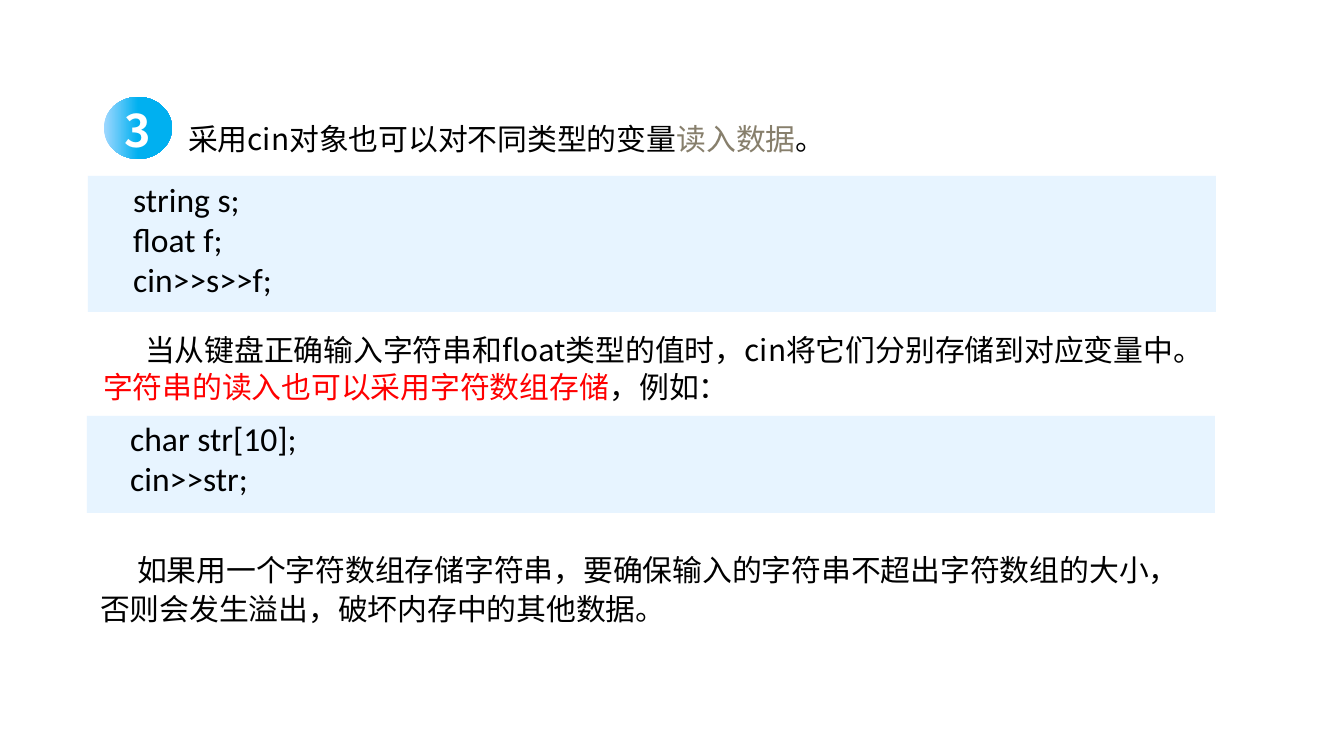
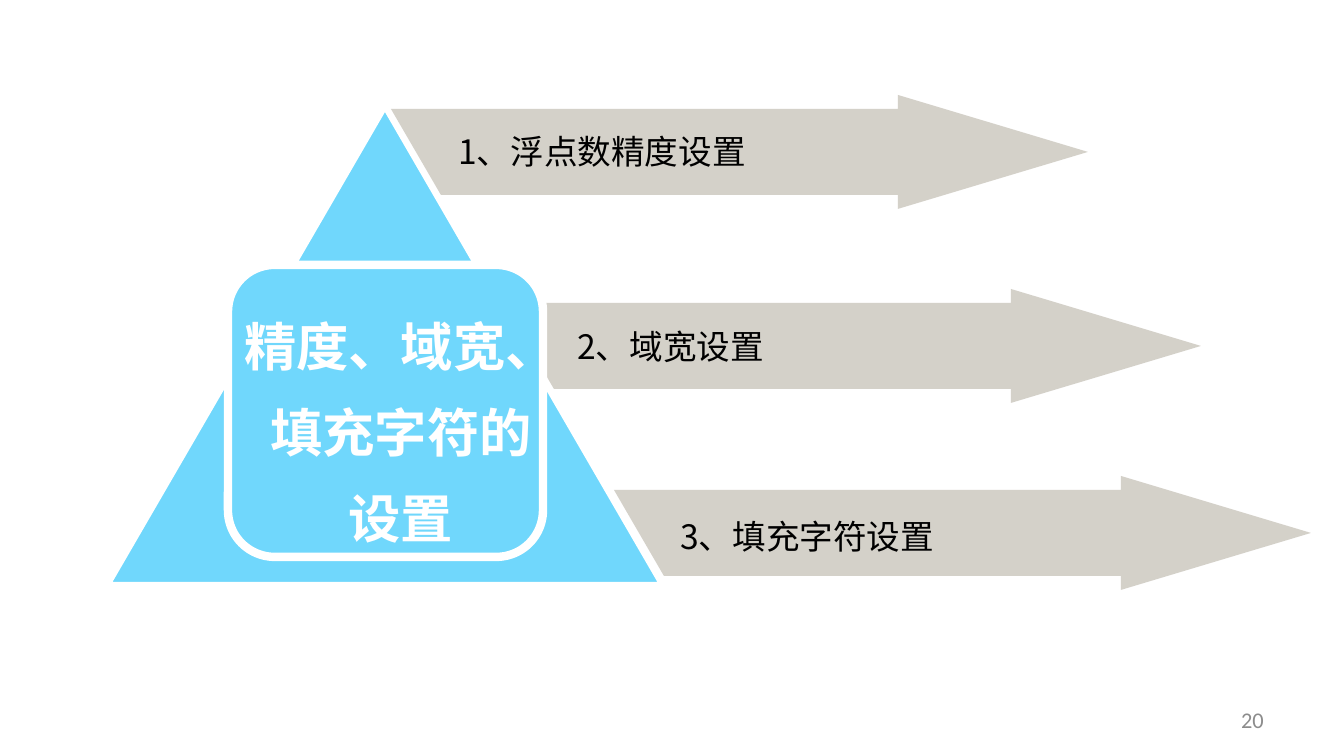
from lxml import etree
from pptx import Presentation
from pptx.dml.color import RGBColor
from pptx.enum.shapes import MSO_SHAPE
from pptx.enum.text import MSO_ANCHOR, MSO_AUTO_SIZE, PP_ALIGN
from pptx.oxml.ns import qn
from pptx.util import Emu, Pt

SCALE = 914400 / 134.4
RECTANGLE, OVAL = MSO_SHAPE.RECTANGLE, MSO_SHAPE.OVAL
TRIANGLE, ROUNDED = MSO_SHAPE.ISOSCELES_TRIANGLE, MSO_SHAPE.ROUNDED_RECTANGLE
TOP, MIDDLE = MSO_ANCHOR.TOP, MSO_ANCHOR.MIDDLE
LEFT, CENTER, RIGHT = PP_ALIGN.LEFT, PP_ALIGN.CENTER, PP_ALIGN.RIGHT
GROW = MSO_AUTO_SIZE.SHAPE_TO_FIT_TEXT

BLACK = RGBColor(0x00, 0x00, 0x00)
WHITE = RGBColor(0xFF, 0xFF, 0xFF)
RED = RGBColor(0xFF, 0x00, 0x00)
TAUPE = RGBColor(0x87, 0x7F, 0x6C)
GRAY = RGBColor(0x8C, 0x8C, 0x8C)
STONE = RGBColor(0xD0, 0xCC, 0xC4)
PALE_BLUE = RGBColor(0xE7, 0xF4, 0xFF)
LIGHT_BLUE = RGBColor(0x9F, 0xD8, 0xFF)
BLUE = RGBColor(0x00, 0xB0, 0xF0)
SKY = RGBColor(0x70, 0xD7, 0xFC)

CHINESE = "Noto Sans CJK SC"
LATIN = "Calibri"


def px(value):
    return Emu(round(value * SCALE))


class Page:
    def __init__(self, deck):
        self.shapes = deck.slides.add_slide(deck.slide_layouts[6]).shapes

    def fill_text(self, shape, paragraphs, font, spacing=None, align=LEFT, indent=0):
        frame = shape.text_frame
        frame.word_wrap = True
        for index, spans in enumerate(paragraphs):
            para = frame.add_paragraph() if index else frame.paragraphs[0]
            para.alignment = align
            if spacing:
                para.line_spacing = Pt(spacing)
            if indent:
                para._p.get_or_add_pPr().set("indent", str(px(indent)))
            for text, color in spans:
                span = para.add_run()
                span.text = text
                for name, value in font.items():
                    setattr(span.font, name, value)
                span.font.color.rgb = color
                east_asian = etree.SubElement(span._r.get_or_add_rPr(), qn("a:ea"))
                east_asian.set("typeface", font["name"])

    def text(self, box, paragraphs, size=16, name=CHINESE, bold=False,
             anchor=TOP, inset=None, grow=True, **layout):
        shape = self.shapes.add_textbox(*map(px, box))
        frame = shape.text_frame
        frame.vertical_anchor = anchor
        if inset is not None:
            frame.margin_left = frame.margin_right = px(inset)
        font = {"size": Pt(size), "name": name, "bold": bold}
        self.fill_text(shape, paragraphs, font, **layout)
        if grow:
            frame.auto_size = GROW

    def shape(self, kind, box, fill, line=None, corner=None):
        shape = self.shapes.add_shape(kind, *map(px, box))
        if corner:
            shape.adjustments[0] = corner
        return self.paint(shape, fill, line)

    def paint(self, shape, fill, line=None):
        shape.shadow.inherit = False
        shape.fill.solid()
        shape.fill.fore_color.rgb = fill
        if line:
            shape.line.color.rgb = WHITE
            shape.line.width = Pt(line)
        else:
            shape.line.fill.background()
        return shape

    def code(self, panel, box, lines):
        self.shape(RECTANGLE, panel, PALE_BLUE)
        self.text(box, [[(line, BLACK)] for line in lines], size=18, name=LATIN)

    def badge(self, box, label):
        shape = self.shape(OVAL, box, BLUE)
        shape.fill.gradient()
        shape.fill.gradient_angle = 0
        stops = shape.fill.gradient_stops
        for stop, color, position in zip(stops, (LIGHT_BLUE, BLUE), (0, 0.5)):
            stop.color.rgb = color
            stop.position = position
        frame = shape.text_frame
        frame.vertical_anchor = MIDDLE
        frame.margin_left = frame.margin_right = 0
        frame.margin_top = frame.margin_bottom = 0
        font = {"size": Pt(24), "name": CHINESE, "bold": True}
        self.fill_text(shape, [[(label, WHITE)]], font, spacing=31, align=CENTER)

    def arrow(self, left, top, label_box, label):
        outline = [(507, 14), (507, 0), (697, 57), (507, 114), (507, 100), (50, 100)]
        builder = self.shapes.build_freeform(left, top + 14, scale=SCALE)
        builder.add_line_segments([(left + x, top + y) for x, y in outline])
        shape = self.paint(builder.convert_to_shape(), STONE)
        color = shape._element.spPr.find(qn("a:solidFill"))[0]
        etree.SubElement(color, qn("a:alpha")).set("val", "90000")
        self.text(label_box, [[(label, BLACK)]], size=18, spacing=22)


deck = Presentation()
deck.slide_width, deck.slide_height = px(1344), px(756)

page = Page(deck)
page.text((175, 113, 708, 50), [[
    ("采用cin对象也可以对不同类型的变量", BLACK), ("读入数据", TAUPE), ("。", BLACK),
]], spacing=19.5)
page.code((88, 176, 1128, 136), (120, 172, 672, 136),
          ["string s;", "float f;", "cin>>s>>f;"])
page.code((87, 416, 1128, 97), (117, 411, 672, 95),
          ["char str[10];", "cin>>str;"])
page.text((90, 325, 1122, 86), [[
    ("当从键盘正确输入字符串和float类型的值时，cin将它们分别存储到对应变量中。", BLACK),
    ("字符串的读入也可以采用字符数组存储", RED), ("，例如：", BLACK),
]], spacing=19.5, indent=42)
page.text((87, 543, 1081, 90), [[
    ("如果用一个字符数组存储字符串，要确保输入的字符串不超出字符数组的大小，"
     "否则会发生溢出，破坏内存中的其他数据。", BLACK),
]], spacing=20.5, indent=37)
page.badge((104, 97, 68, 62), "3")

page = Page(deck)
page.text((964, 700, 313, 40), [[("20", GRAY)]], size=12, name=LATIN,
          anchor=MIDDLE, align=RIGHT, grow=False)
page.arrow(504, 289, (564, 319, 457, 54), "2、域宽设置")
page.shape(TRIANGLE, (109, 108, 552, 476), SKY, line=2.25)
page.shape(ROUNDED, (228, 265, 315, 292), SKY, line=4.5, corner=0.16)
page.text((231, 285, 340, 347),
          [[(line, WHITE)] for line in ("精度、域宽、", "填充字符的", "设置")],
          size=28, bold=True, inset=0, spacing=46, align=CENTER, grow=False)
page.arrow(391, 95, (445, 124, 457, 54), "1、浮点数精度设置")
page.arrow(614, 476, (667, 509, 457, 54), "3、填充字符设置")

deck.save("out.pptx")
